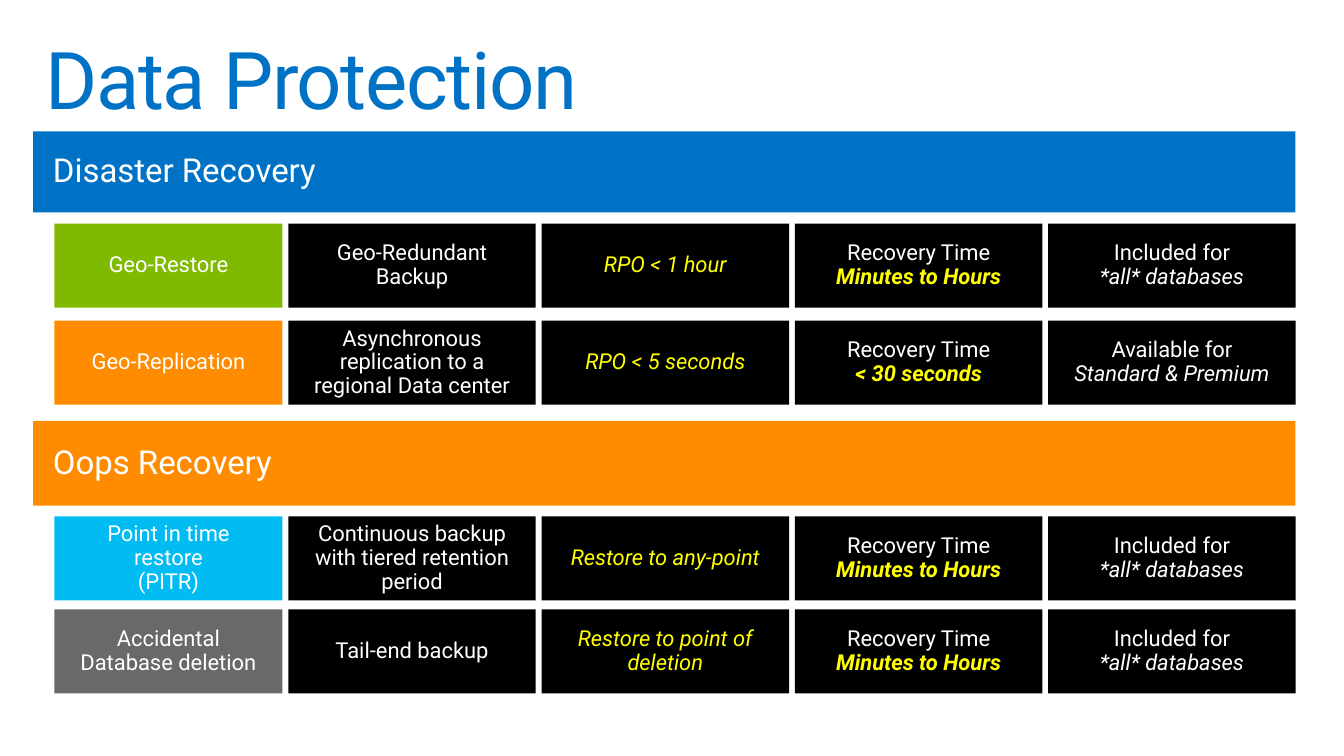
"""Build the Data Protection slide: two recovery bands, each with a grid of options."""
from dataclasses import dataclass

from pptx import Presentation
from pptx.dml.color import RGBColor
from pptx.enum.shapes import MSO_SHAPE as Shape
from pptx.enum.text import MSO_ANCHOR as Anchor, MSO_AUTO_SIZE as AutoSize, PP_ALIGN as Align
from pptx.slide import Slide
from pptx.util import Cm, Pt

FONT = "Roboto"
COLORS = {
    "blue": "0072C6",
    "orange": "FF8C00",
    "green": "7FBA00",
    "cyan": "00BCF2",
    "gray": "696969",
    "black": "000000",
    "white": "FFFFFF",
    "yellow": "FFFF00",
}

BAND_LEFT, BAND_WIDTH = 0.85, 32.44
LABEL_LEFT, LABEL_WIDTH = 1.4, 5.86
DETAIL_LEFT, DETAIL_WIDTH, DETAIL_PITCH = 7.41, 6.36, 6.51
ROW_HEIGHT = 2.16


@dataclass(frozen=True)
class Line:
    text: str
    color: str = "white"
    bold: bool = False
    italic: bool = False


@dataclass(frozen=True)
class Band:
    text: str
    color: str
    top: float
    height: float


@dataclass(frozen=True)
class Option:
    top: float
    color: str
    label: list[Line]
    details: list[list[Line]]


def goal(text: str) -> list[Line]:
    return [Line(text, "yellow", italic=True)]


def recovery(text: str) -> list[Line]:
    return [Line("Recovery Time"), Line(text, "yellow", bold=True, italic=True)]


def coverage(lead: str, text: str) -> list[Line]:
    return [Line(lead), Line(text, italic=True)]


ALL_DATABASES = coverage("Included for", "*all* databases")
HOURS = recovery("Minutes to Hours")

BANDS = [
    Band("Disaster Recovery", "blue", 3.38, 2.08),
    Band("Oops Recovery", "orange", 10.82, 2.18),
]
OPTIONS = [
    Option(5.75, "green", [Line("Geo-Restore")],
           [[Line("Geo-Redundant Backup")], goal("RPO < 1 hour"), HOURS, ALL_DATABASES]),
    Option(8.24, "orange", [Line("Geo-Replication")],
           [[Line("Asynchronous replication to a regional Data center")],
            goal("RPO < 5 seconds"), recovery("< 30 seconds"),
            coverage("Available for", "Standard & Premium")]),
    Option(13.27, "cyan", [Line("Point in time restore"), Line("(PITR)")],
           [[Line("Continuous backup with tiered retention period")],
            goal("Restore to any-point"), HOURS, ALL_DATABASES]),
    Option(15.66, "gray", [Line("Accidental Database deletion")],
           [[Line("Tail-end backup")], goal("Restore to point of deletion"),
            HOURS, ALL_DATABASES]),
]


def rgb(name: str) -> RGBColor:
    return RGBColor.from_string(COLORS[name])


def add_title(page: Slide, text: str) -> None:
    title = page.shapes.title
    title.left, title.top, title.width, title.height = Cm(0.76), Cm(0.74), Cm(25.4), Cm(3.05)
    frame = title.text_frame
    frame.text = text
    frame.auto_size = AutoSize.NONE
    frame.word_wrap = True
    frame.vertical_anchor = Anchor.TOP
    frame.margin_left = frame.margin_right = Cm(0.41)
    frame.margin_top = frame.margin_bottom = Cm(0.25)
    para = frame.paragraphs[0]
    para.alignment = Align.LEFT
    para.line_spacing = Pt(63)
    span = para.runs[0]
    span.font.name, span.font.size = FONT, Pt(58)
    span.font.color.rgb = rgb("blue")
    span.font._element.set("spc", "-100")


def add_box(page: Slide, left: float, top: float, width: float, height: float, fill: str,
            lines: list[Line], size: int = 16, align: Align = Align.CENTER) -> None:
    box = page.shapes.add_shape(Shape.RECTANGLE, Cm(left), Cm(top), Cm(width), Cm(height))
    box.shadow.inherit = False
    box.fill.solid()
    box.fill.fore_color.rgb = rgb(fill)
    box.line.fill.background()
    frame = box.text_frame
    frame.text = "\n".join(line.text for line in lines)
    frame.word_wrap = True
    frame.vertical_anchor = Anchor.MIDDLE
    frame.margin_left = frame.margin_right = Cm(0.51)
    frame.margin_top = frame.margin_bottom = Cm(0.41)
    for para, line in zip(frame.paragraphs, lines):
        para.alignment = align
        para.line_spacing = 0.9
        font = para.runs[0].font
        font.name, font.size = FONT, Pt(size)
        font.bold, font.italic = line.bold, line.italic
        font.color.rgb = rgb(line.color)


def add_option(page: Slide, option: Option) -> None:
    add_box(page, LABEL_LEFT, option.top, LABEL_WIDTH, ROW_HEIGHT, option.color, option.label)
    for column, lines in enumerate(option.details):
        left = DETAIL_LEFT + column * DETAIL_PITCH
        add_box(page, left, option.top, DETAIL_WIDTH, ROW_HEIGHT, "black", lines)


def main() -> None:
    deck = Presentation()
    deck.slide_width, deck.slide_height = Cm(34.54), Cm(19.43)
    page = deck.slides.add_slide(deck.slide_layouts.get_by_name("Title Only"))
    add_title(page, "Data Protection")
    for band in BANDS:
        add_box(page, BAND_LEFT, band.top, BAND_WIDTH, band.height, band.color,
                [Line(band.text)], size=24, align=Align.LEFT)
    for option in OPTIONS:
        add_option(page, option)
    deck.save("out.pptx")


if __name__ == "__main__":
    main()
